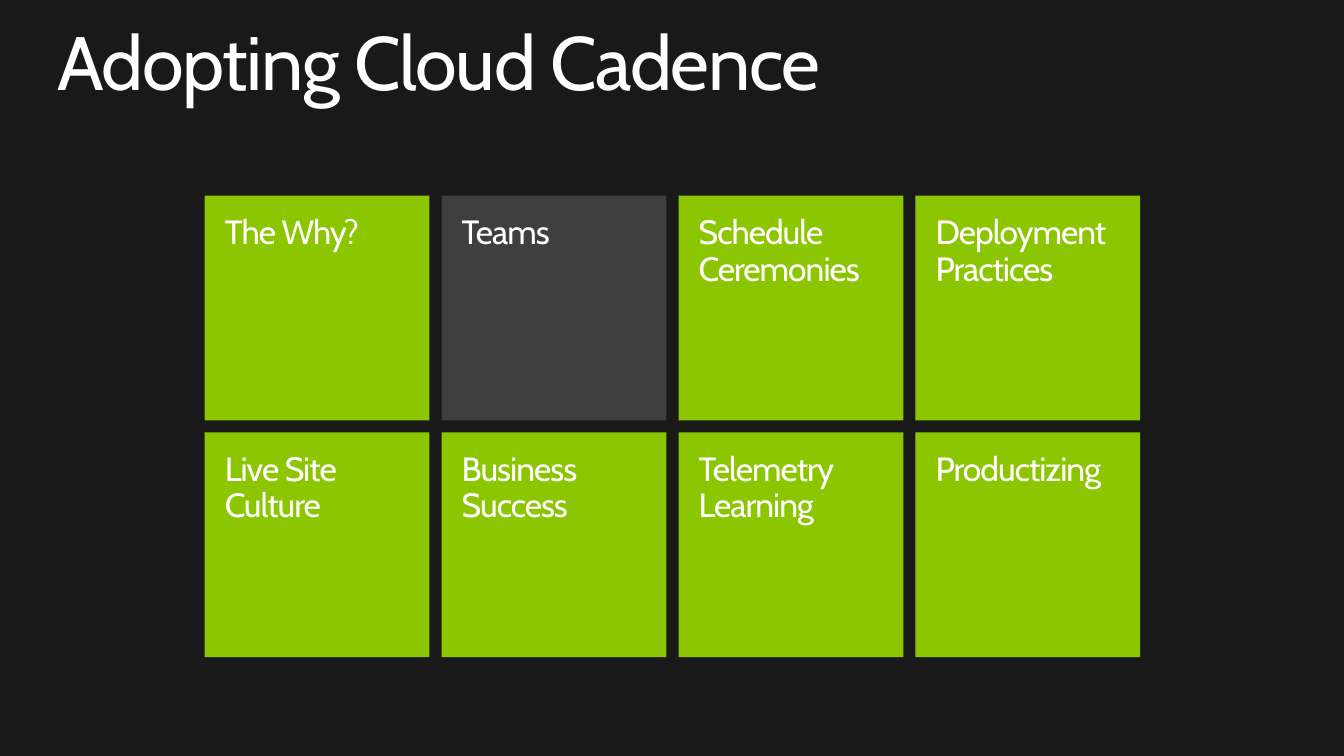
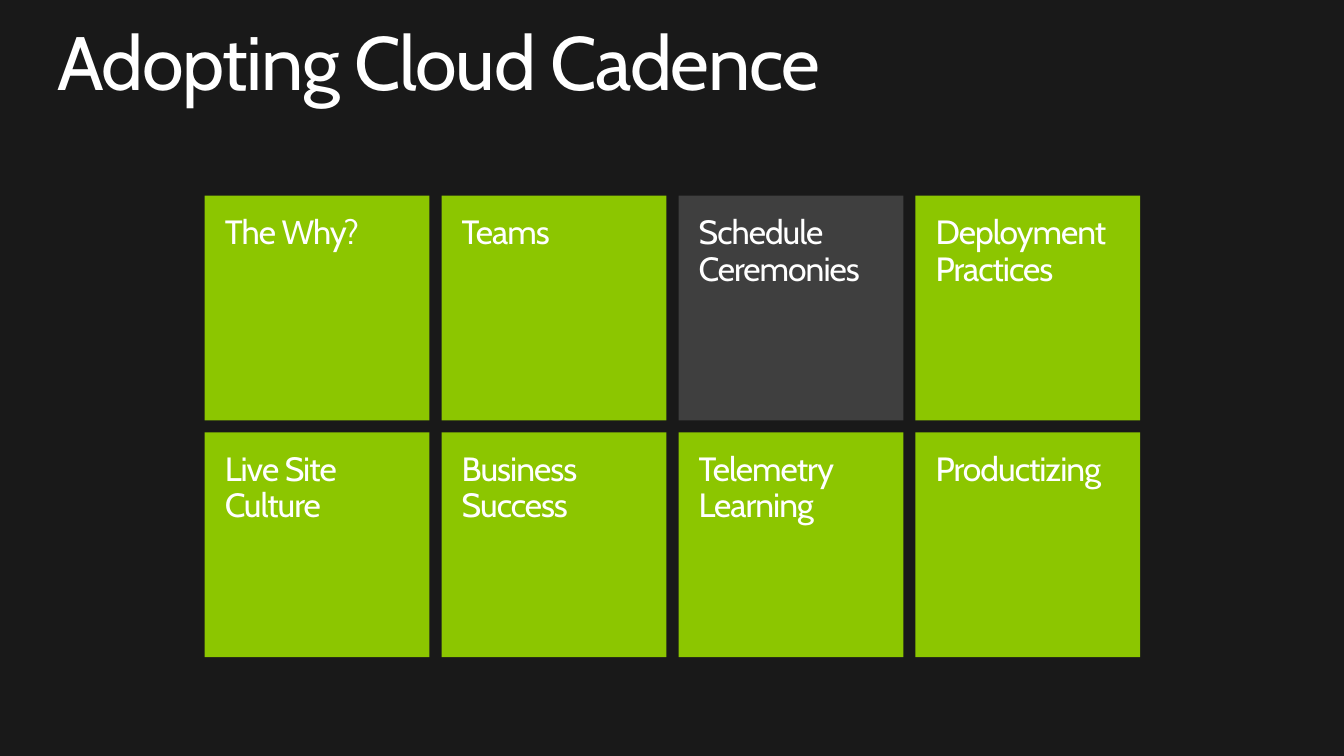
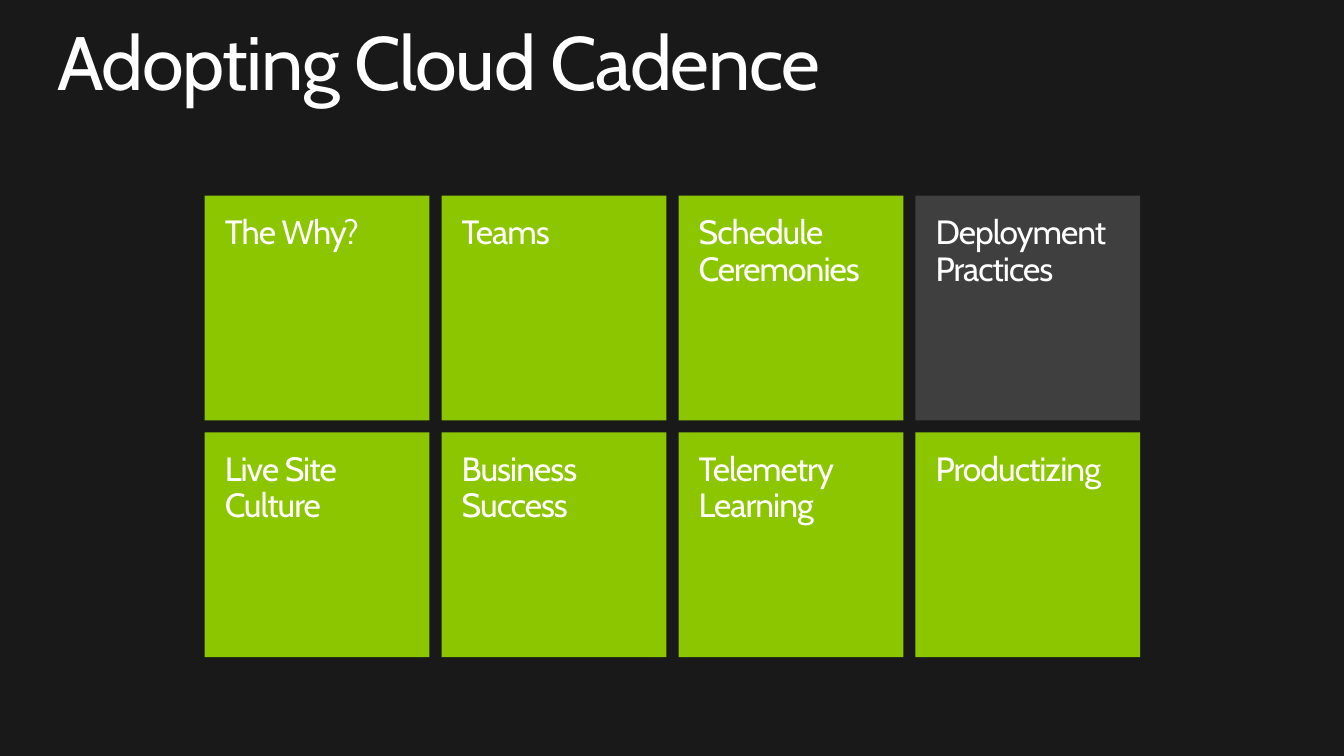
import pptx
import pptx.dml.color
import pptx.enum.shapes
import pptx.enum.text
import pptx.util

Inches = pptx.util.Inches

TITLE = "Adopting Cloud Cadence"
TOPICS = [
    ["The Why?", "Teams", "Schedule\nCeremonies", "Deployment\nPractices"],
    ["Live Site Culture", "Business Success", "Telemetry\nLearning", "Productizing"],
]
CURRENT_TOPICS = ["Teams", "Schedule\nCeremonies", "Deployment\nPractices"]


def color(value):
    return pptx.dml.color.RGBColor.from_string(value)


class Deck:
    font_name = "Cabin"
    background = "191919"
    text_color = "FFFFFF"
    tile_color = "8CC600"
    current_color = "3F3F3F"
    line_spacing = 0.9
    grid_left = 2.03
    grid_top = 1.94
    tile_size = 2.23
    tile_gap = 0.12

    def __init__(self):
        self.presentation = pptx.Presentation()
        self.presentation.slide_width = Inches(13.33)
        self.presentation.slide_height = Inches(7.5)
        fill = self.presentation.slide_master.background.fill
        fill.solid()
        fill.fore_color.rgb = color(self.background)
        self.slide = None

    def add_slide(self, title):
        layout = self.presentation.slide_layouts.get_by_name("Title Only")
        self.slide = self.presentation.slides.add_slide(layout)
        shape = self.slide.shapes.title
        shape.left, shape.top = Inches(0.57), Inches(0.25)
        shape.width, shape.height = Inches(12.19), Inches(0.82)
        self.set_text(shape, title, 54, -1, (0, 0, 0, 0))
        shape.text_frame.auto_size = pptx.enum.text.MSO_AUTO_SIZE.SHAPE_TO_FIT_TEXT

    def set_text(self, shape, text, size, tracking, insets):
        frame = shape.text_frame
        frame.word_wrap = True
        frame.vertical_anchor = pptx.enum.text.MSO_ANCHOR.TOP
        (frame.margin_left, frame.margin_top,
         frame.margin_right, frame.margin_bottom) = map(Inches, insets)
        for index, line in enumerate(text.split("\n")):
            paragraph = frame.add_paragraph() if index else frame.paragraphs[0]
            paragraph.alignment = pptx.enum.text.PP_ALIGN.LEFT
            paragraph.line_spacing = self.line_spacing
            run = paragraph.add_run()
            run.text = line
            run.font.name = self.font_name
            run.font.size = pptx.util.Pt(size)
            run.font.color.rgb = color(self.text_color)
            run._r.get_or_add_rPr().set("spc", str(round(tracking * 100)))

    def add_tile(self, row, column, topic, fill_color):
        pitch = self.tile_size + self.tile_gap
        shape = self.slide.shapes.add_shape(
            pptx.enum.shapes.MSO_SHAPE.RECTANGLE,
            Inches(self.grid_left + column * pitch),
            Inches(self.grid_top + row * pitch),
            Inches(self.tile_size),
            Inches(self.tile_size),
        )
        shape.shadow.inherit = False
        shape.fill.solid()
        shape.fill.fore_color.rgb = color(fill_color)
        shape.line.fill.background()
        self.set_text(shape, topic, 24, -0.7, (0.2, 0.2, 0.1, 0.05))

    def add_topic_grid(self, current_topic):
        for row, topics in enumerate(TOPICS):
            for column, topic in enumerate(topics):
                is_current = topic == current_topic
                self.add_tile(row, column, topic,
                              self.current_color if is_current else self.tile_color)


def main():
    deck = Deck()
    for current_topic in CURRENT_TOPICS:
        deck.add_slide(TITLE)
        deck.add_topic_grid(current_topic)
    deck.presentation.save("out.pptx")


if __name__ == "__main__":
    main()
